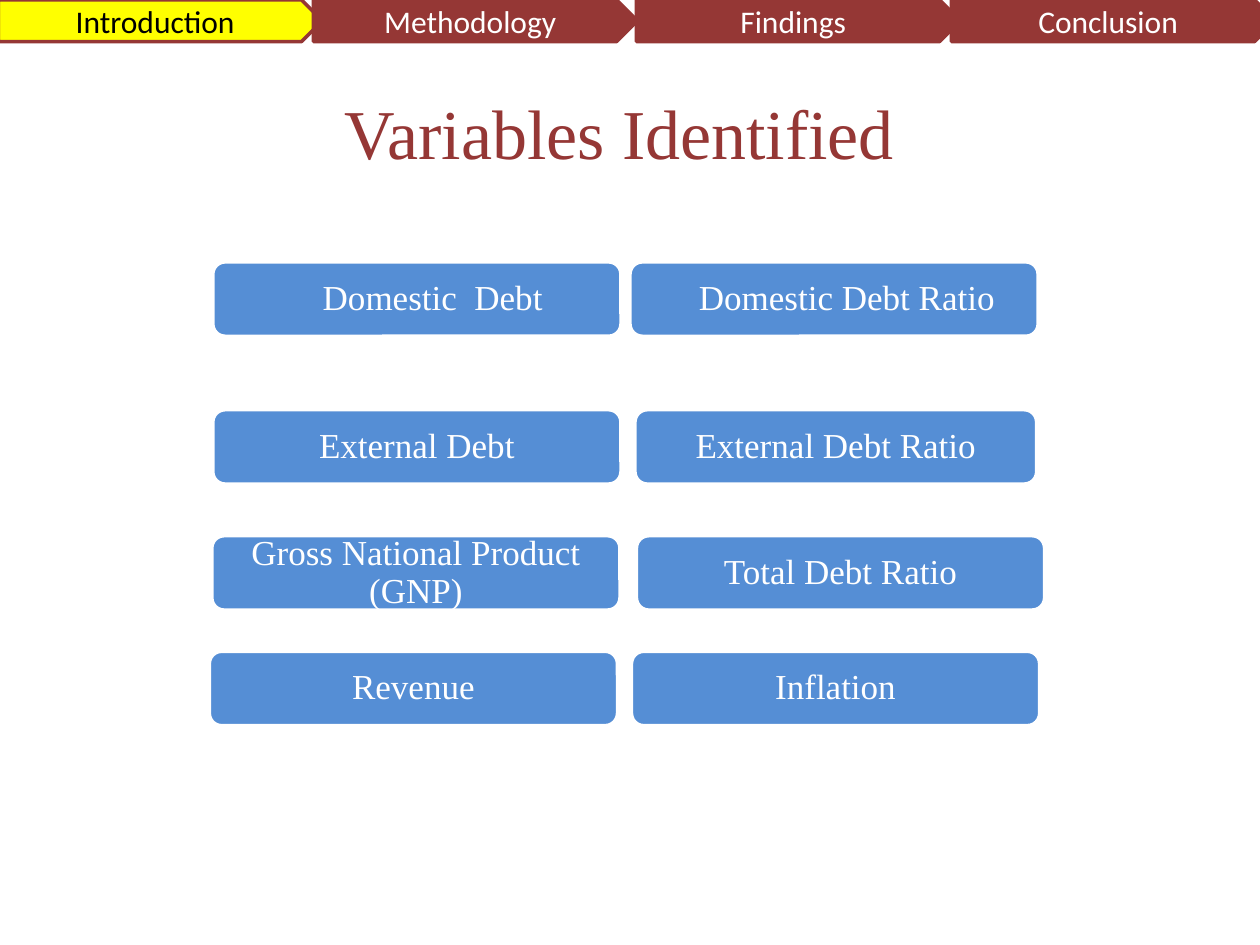
from pptx import Presentation
from pptx import util as u
from pptx.dml.color import RGBColor
from pptx.enum import shapes, text

COLORS = {
    "maroon": "953735",
    "yellow": "FFFF00",
    "blue": "558ED5",
    "white": "FFFFFF",
    "black": "000000",
}
SERIF, SANS = "Times New Roman", "Calibri"

# Tab label and left edge in cm
TABS = [("Introduction", -0.03), ("Methodology", 6.32),
        ("Findings", 12.83), ("Conclusion", 19.18)]
ACTIVE_TAB = "Introduction"

# Row top in cm, then label, left, width and text indent of each variable
VARIABLE_ROWS = [
    (5.28, [("Domestic  Debt", 4.29, 8.23, 0.64),
            ("Domestic Debt Ratio", 12.7, 8.23, 0.52)]),
    (8.26, [("External Debt", 4.29, 8.23, 0),
            ("External Debt Ratio", 12.8, 8.1, 0)]),
    (10.8, [("Gross National Product (GNP)", 4.27, 8.23, 0),
            ("Total Debt Ratio", 12.83, 8.23, 0)]),
    (13.13, [("Revenue", 4.22, 8.23, 0),
             ("Inflation", 12.73, 8.23, 0)]),
]


def rgb(name):
    return RGBColor.from_string(COLORS[name])


def write_text(shape, content, *, font, size, color, line_spacing=1.0,
               side=0.25, edge=0.13, indent=0):
    """Write one centred paragraph; side, edge and indent are in cm."""
    frame = shape.text_frame
    frame.word_wrap = True
    frame.vertical_anchor = text.MSO_ANCHOR.MIDDLE
    frame.margin_left = u.Cm(side + indent)
    frame.margin_right = u.Cm(side)
    frame.margin_top = frame.margin_bottom = u.Cm(edge)
    paragraph = frame.paragraphs[0]
    paragraph.alignment = text.PP_ALIGN.CENTER
    paragraph.line_spacing = line_spacing
    run = paragraph.add_run()
    run.text = content
    run.font.name = font
    run.font.size = u.Pt(size)
    run.font.color.rgb = rgb(color)


def add_block(slide, kind, left, top, width, height, fill, line):
    shape = slide.shapes.add_shape(
        kind, u.Cm(left), u.Cm(top), u.Cm(width), u.Cm(height))
    shape.shadow.inherit = False
    shape.fill.solid()
    shape.fill.fore_color.rgb = rgb(fill)
    shape.line.color.rgb = rgb(line)
    shape.line.width = u.Pt(2)
    return shape


def add_title(slide, content):
    box = slide.shapes.add_textbox(
        u.Cm(1.06), u.Cm(1.06), u.Cm(22.86), u.Cm(3.18))
    write_text(box, content, font=SERIF, size=40, color="maroon")


def add_variable(slide, label, left, top, width, indent):
    block = add_block(slide, shapes.MSO_SHAPE.ROUNDED_RECTANGLE,
                      left, top, width, 1.5, "blue", "white")
    write_text(block, label, font=SERIF, size=20, color="white",
               line_spacing=0.9, side=0.2, edge=0.1, indent=indent)


def add_tab(slide, label, left, active):
    tab = add_block(slide, shapes.MSO_SHAPE.PENTAGON, left, 0, 6.53, 0.84,
                    "yellow" if active else "maroon", "maroon")
    write_text(tab, label, font=SANS, size=18,
               color="black" if active else "white")


def main():
    presentation = Presentation()
    presentation.slide_width = u.Cm(25.4)
    presentation.slide_height = u.Cm(19.05)
    slide = presentation.slides.add_slide(presentation.slide_layouts[6])

    add_title(slide, "Variables Identified")
    for top, variables in VARIABLE_ROWS:
        for label, left, width, indent in variables:
            add_variable(slide, label, left, top, width, indent)
    for label, left in TABS:
        add_tab(slide, label, left, label == ACTIVE_TAB)

    presentation.save("out.pptx")


if __name__ == "__main__":
    main()
